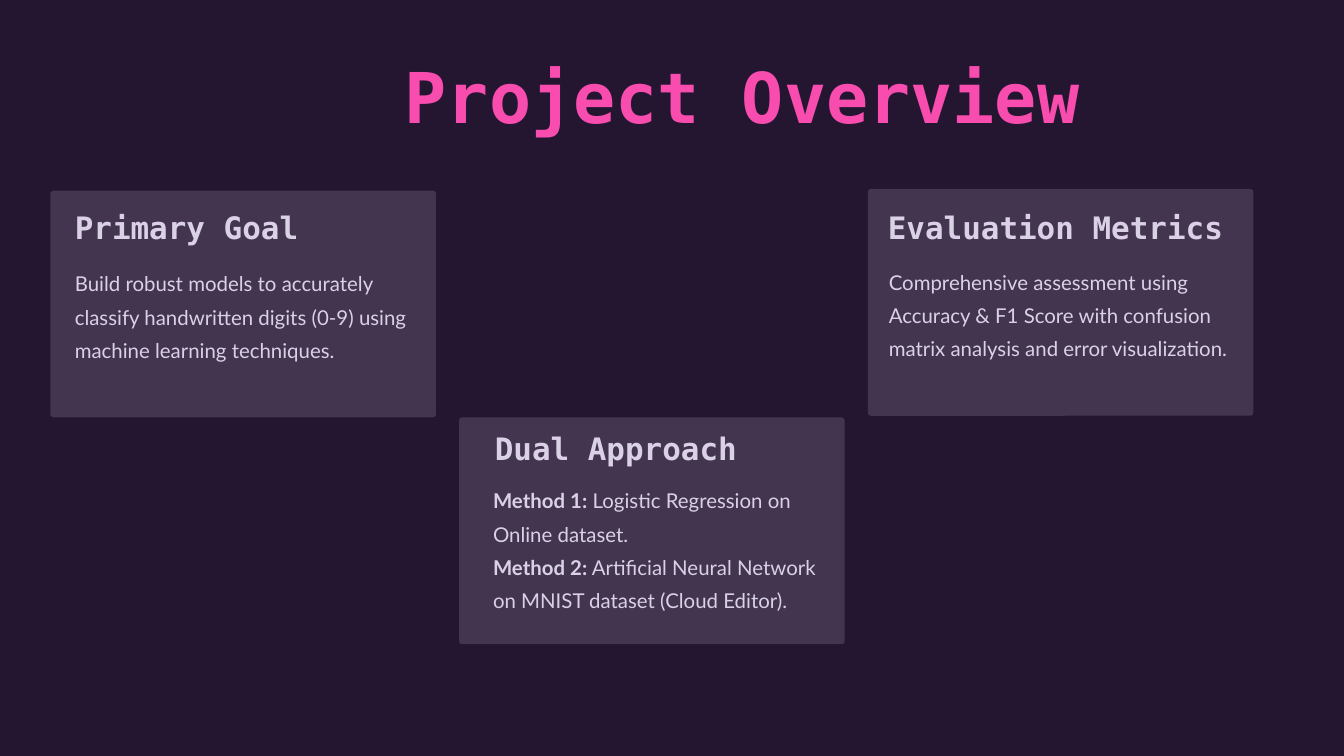
"""Build the Project Overview slide with its three staggered cards."""
from pptx import Presentation
from pptx.dml.color import RGBColor
from pptx.enum.shapes import MSO_SHAPE
from pptx.util import Pt

COLORS = {"background": "241631", "card": "433550", "title": "F94CAF", "text": "DAD1E6"}
MONO, SANS = "DejaVu Sans Mono", "Lato"
CARD_WIDTH, CARD_HEIGHT = 330.5, 194.4
FIRST_CARD_LEFT, CARD_STEP = 43.2, 350.3
TEXT_WIDTH = 294.5


def add_text(paragraphs, left, top, width, height, *, size, font, line, color="text"):
    """Add a text box; each paragraph is a list of (text, bold) runs."""
    frame = slide.shapes.add_textbox(Pt(left), Pt(top), Pt(width), Pt(height)).text_frame
    frame.margin_left = frame.margin_top = frame.margin_right = frame.margin_bottom = 0
    frame.word_wrap = True
    for index, runs in enumerate(paragraphs):
        paragraph = frame.paragraphs[0] if index == 0 else frame.add_paragraph()
        paragraph.line_spacing = Pt(line)
        for text, bold in runs:
            run = paragraph.add_run()
            run.text = text
            run.font.name = font
            run.font.size = Pt(size)
            run.font.bold = bold
            run.font.color.rgb = RGBColor.from_string(COLORS[color])


presentation = Presentation()
presentation.slide_width, presentation.slide_height = Pt(1152), Pt(648)
slide = presentation.slides.add_slide(presentation.slide_layouts[6])
slide.background.fill.solid()
slide.background.fill.fore_color.rgb = RGBColor.from_string(COLORS["background"])

add_text([[("Project Overview", True)]], 347, 62.2, 600, 56.2,
         size=60, font=MONO, line=55.5, color="title")

cards = [
    (163.4, "Primary Goal", (64.1, 177.4), (64.1, 225.2, 85.7), [
        [("Build robust models to accurately classify handwritten digits (0-9) "
          "using machine learning techniques.", False)],
    ]),
    (357.8, "Dual Approach", (424.1, 367.2), (422.6, 411.1, 114.5), [
        [("Method 1:", True), (" Logistic Regression on Online dataset.", False)],
        [("Method 2:", True),
         (" Artificial Neural Network on MNIST dataset (Cloud Editor).", False)],
    ]),
    (162, "Evaluation Metrics", (761, 177.4), (761.8, 223.9, 114.5), [
        [("Comprehensive assessment using Accuracy & F1 Score with confusion "
          "matrix analysis and error visualization.", False)],
    ]),
]

for column, (card_top, heading, heading_at, body_at, body) in enumerate(cards):
    card = slide.shapes.add_shape(
        MSO_SHAPE.ROUNDED_RECTANGLE, Pt(FIRST_CARD_LEFT + column * CARD_STEP), Pt(card_top),
        Pt(CARD_WIDTH), Pt(CARD_HEIGHT))
    card.adjustments[0] = 0.014
    card.shadow.inherit = False
    card.fill.solid()
    card.fill.fore_color.rgb = RGBColor.from_string(COLORS["card"])
    card.line.fill.background()

    add_text([[(heading, True)]], *heading_at, TEXT_WIDTH, 33.8, size=26.5, font=MONO, line=33)
    body_left, body_top, body_height = body_at
    add_text(body, body_left, body_top, TEXT_WIDTH, body_height, size=17.5, font=SANS, line=28.5)

presentation.save("out.pptx")
